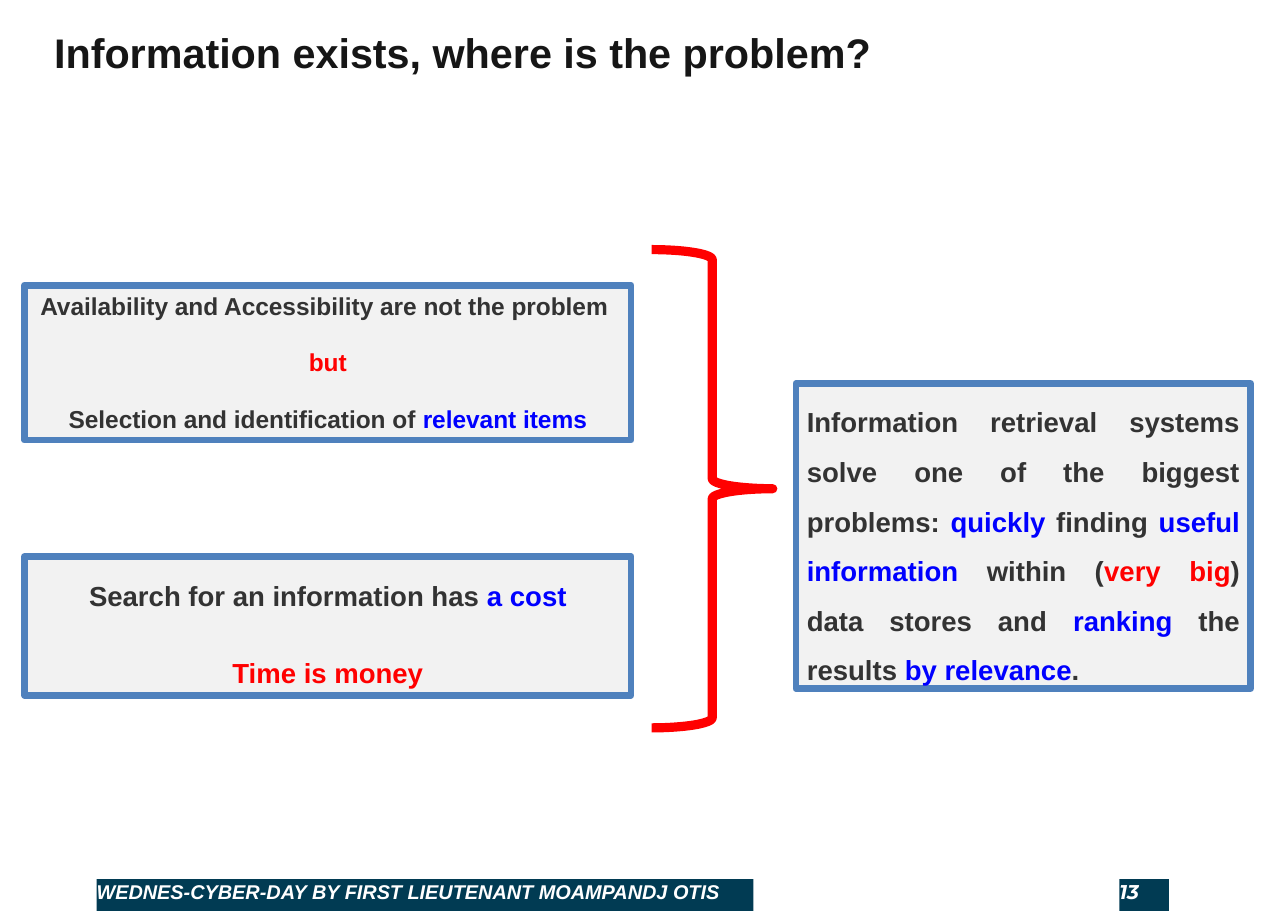
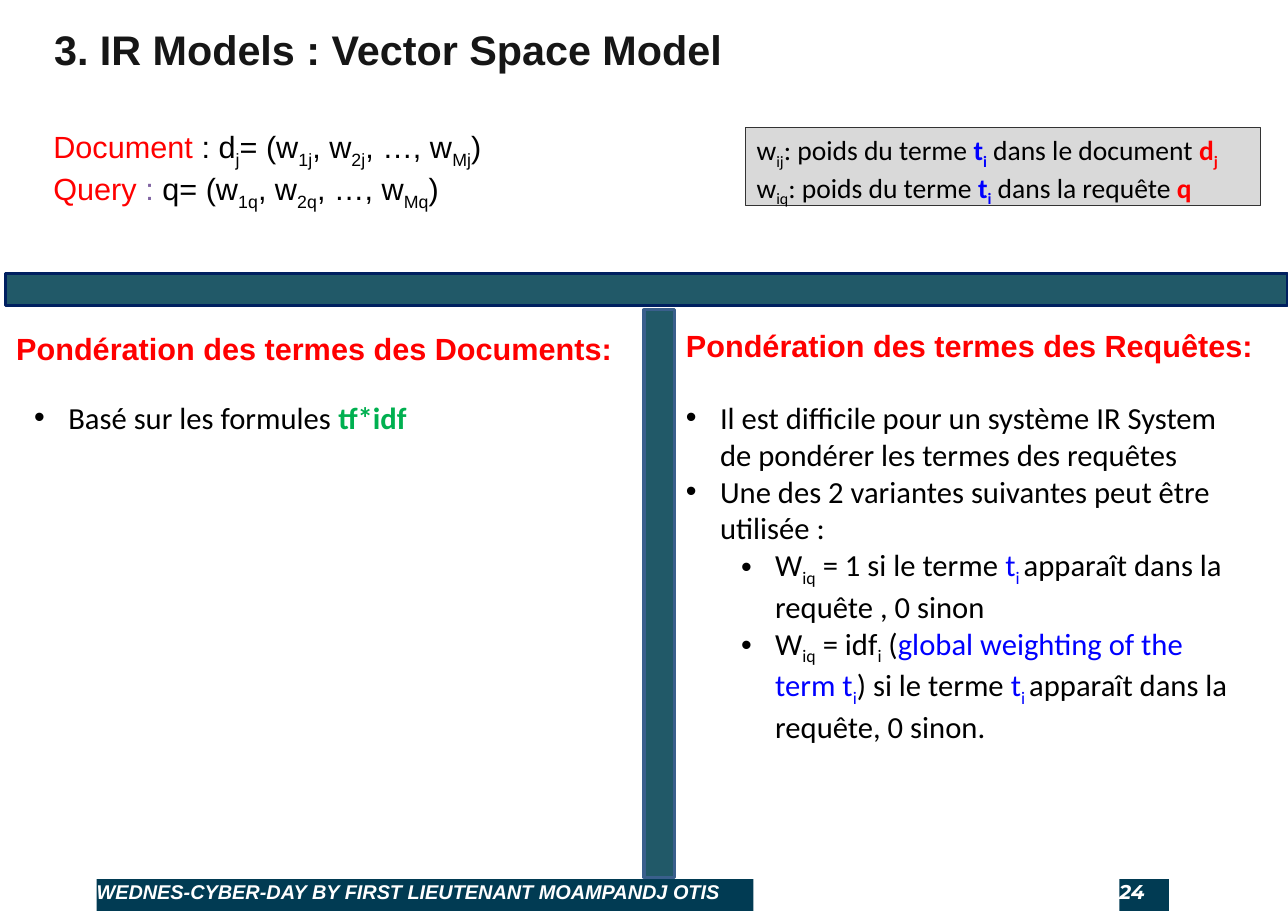
"""Build two slides on information retrieval: the problem, and the vector space model."""
from lxml.etree import SubElement
from pptx import Presentation
from pptx.dml.color import RGBColor
from pptx.enum.shapes import MSO_SHAPE
from pptx.enum.text import MSO_ANCHOR, MSO_AUTO_SIZE, PP_ALIGN
from pptx.oxml.ns import qn
from pptx.util import Inches, Pt

COLOURS = {
    "navy": "013B53", "white": "FFFFFF", "title": "161616", "ink": "333333",
    "black": "000000", "red": "FF0000", "blue": "0000FF", "green": "00B050",
    "purple": "8064A2", "pale": "F2F2F2", "grey": "D9D9D9", "frame": "4F81BD",
    "teal": "215968", "midnight": "002060", "steel": "3A5F8C",
}
FOOTER = "WEDNES-CYBER-DAY BY FIRST LIEUTENANT MOAMPANDJ OTIS"

deck = Presentation()
deck.slide_width, deck.slide_height = Inches(11.69), Inches(8.27)
COLUMN, ROW = deck.slide_width / 100, deck.slide_height / 100


def put(page, area, kind=MSO_SHAPE.RECTANGLE, fill=None, line=None, weight=0, holder=None):
    """Place a shape or placeholder on the grid of 100 columns by 100 rows."""
    column, row, columns, rows = area
    box = holder or page.shapes.add_shape(kind, 0, 0, 0, 0)
    box.left, box.top = round(column * COLUMN), round(row * ROW)
    box.width, box.height = round(columns * COLUMN), round(rows * ROW)
    if holder is None:
        box.shadow.inherit = False
        if fill:
            box.fill.solid()
            box.fill.fore_color.rgb = RGBColor.from_string(COLOURS[fill])
        else:
            box.fill.background()
        if line:
            box.line.color.rgb = RGBColor.from_string(COLOURS[line])
            box.line.width = Pt(weight)
        else:
            box.line.fill.background()
    return box


def write(box, lines, size, font="Arial", colour="black", bold=False, italic=False,
          align=PP_ALIGN.LEFT, inset=True, spacing=1.0, before=0, after=0):
    """Write lines of (text, colour, marks) runs; marks hold b for bold, s for subscript."""
    frame = box.text_frame
    frame.word_wrap = True
    frame.auto_size = MSO_AUTO_SIZE.NONE
    frame.vertical_anchor = MSO_ANCHOR.TOP
    frame.margin_left = frame.margin_right = Inches(0.1 if inset else 0)
    frame.margin_top = frame.margin_bottom = Inches(0.05 if inset else 0)
    for index, runs in enumerate(lines):
        para = frame.add_paragraph() if index else frame.paragraphs[0]
        para.alignment = align
        para.line_spacing = spacing
        para.space_before = Pt(before if index else 0)
        para.space_after = Pt(after)
        for run in runs:
            text, tint, marks = run + (colour, "")[len(run) - 1:]
            span = para.add_run()
            span.text = text
            span.font.name, span.font.size = font, Pt(size)
            span.font.bold, span.font.italic = bold or "b" in marks, italic
            span.font.color.rgb = RGBColor.from_string(COLOURS[tint])
            if "s" in marks:
                span.font._element.set("baseline", "-25000")


pages = []
for layout, title, row, number in [
    (5, "Information exists, where is the problem?", 3, "13"),
    (4, "3. IR Models : Vector Space Model", 2.7, "24"),
]:
    page = deck.slides.add_slide(deck.slide_layouts[layout])
    heading = put(page, (4.2, row, 80, 4.8), holder=page.shapes.title)
    write(heading, [[(title,)]], 27, colour="title", bold=True, inset=False)
    for text, font, column, columns in [
        (number, "Montserrat", 86.9, 3.85), (FOOTER, "Arial", 7.5, 51),
    ]:
        band = put(page, (column, 96.5, columns, 3.5), fill="navy")
        write(band, [[(text,)]], 13, font, "white", bold=True, italic=True, inset=False)
    pages.append(page)
problem, model = pages

for area, size, spacing, align, lines in [
    ((1.9, 31.3, 47.1, 17), 16, 1.0, PP_ALIGN.CENTER, [
        [("Availability and Accessibility are not the problem ",)],
        [("but", "red")],
        [("Selection and identification of ",), ("relevant items", "blue")],
    ]),
    ((1.9, 61.1, 47.1, 15.2), 18, 1.5, PP_ALIGN.CENTER, [
        [("Search for an information has ",), ("a cost", "blue")],
        [("Time is money", "red")],
    ]),
    ((61.8, 42.1, 35.3, 33.5), 18, 1.5, PP_ALIGN.JUSTIFY, [[
        ("Information retrieval systems solve one of the biggest problems: ",),
        ("quickly", "blue"), (" finding ",), ("useful information", "blue"),
        (" within (",), ("very big", "red"), (") data stores and ",),
        ("ranking", "blue"), (" the results ",), ("by relevance", "blue"), (".",),
    ]]),
]:
    box = put(problem, area, fill="pale", line="frame", weight=4.5)
    write(box, lines, size, colour="ink", bold=True, align=align,
          spacing=spacing, before=12, after=6)
put(problem, (50.6, 27.4, 9.4, 52.5), MSO_SHAPE.RIGHT_BRACE, line="red", weight=6)

weights = put(model, (57.9, 14, 40, 8.6), fill="grey", line="ink", weight=0.75)
write(weights, [
    [("w",), (index, "black", "s"), (": poids du terme ",), ("t", "blue", "b"),
     ("i", "blue", "bs"), (f" dans {place} ",)] + target
    for index, place, target in [
        ("ij", "le document", [("d", "red", "b"), ("j", "red", "bs")]),
        ("iq", "la requête", [("q", "red", "b")]),
    ]
], 18, "Calibri")

formulas = []
for opening, index in [
    ([("Document ", "red"), (": d",), ("j", "black", "s"), ("= (",)], "j"),
    ([("Query", "red"), (" : ", "purple"), ("q= (",)], "q"),
]:
    runs = list(opening)
    for text, rank in [("w", "1"), (", w", "2"), (", …, w", "M")]:
        runs += [(text,), (rank + index, "black", "s")]
    formulas.append(runs + [(")",)])
vectors = put(model, (3.3, 13.5, 41, 9.3), holder=model.shapes.add_textbox(0, 0, 0, 0))
write(vectors, formulas, 20)

put(model, (0.4, 30, 99.6, 3.5), fill="teal", line="midnight", weight=2)
put(model, (50, 34, 2.4, 62.3), fill="teal", line="steel", weight=2)

term = [("t", "blue"), ("i ", "blue", "s")]
weight_iq = [("W",), ("iq", "black", "s")]
document_list = [(0, [("Basé sur les formules ",), ("tf*idf", "green", "b")])]
query_list = [
    (0, [("Il est difficile pour un système IR System de pondérer les termes des requêtes",)]),
    (0, [("Une des 2 variantes suivantes peut être utilisée :",)]),
    (1, weight_iq + [(" = 1 si le terme ",)] + term
     + [("apparaît dans la requête , 0 sinon",)]),
    (1, weight_iq + [(" = idf",), ("i", "black", "s"), (" (",),
                     ("global weighting of the term t", "blue"), ("i", "blue", "s"),
                     (") si le terme ",)] + term
     + [("apparaît dans la requête, 0 sinon.",)]),
]
for first, subject, heading_area, list_area, items in [
    (1, "Documents", (0.4, 35.6, 49.4, 5.3), (1.8, 43.2, 48.2, 5.3), document_list),
    (3, "Requêtes", (52.4, 35.3, 47.4, 5.3), (52.4, 43.2, 45.4, 37.8), query_list),
]:
    heading = put(model, heading_area, holder=model.placeholders[first])
    write(heading, [[(f"Pondération des termes des {subject}:",)]], 20,
          colour="red", bold=True)
    body = put(model, list_area, holder=model.placeholders[first + 1])
    write(body, [runs for level, runs in items], 20, "Calibri")
    for para, (level, runs) in zip(body.text_frame.paragraphs, items):
        para.level = level
        properties = para._p.get_or_add_pPr()
        properties.set("marL", str(Inches(0.31 + level * 0.5)))
        properties.set("indent", str(-Inches(0.31)))
        SubElement(properties, qn("a:buFont")).set("typeface", "Arial")
        SubElement(properties, qn("a:buChar")).set("char", "•")

deck.save("out.pptx")
